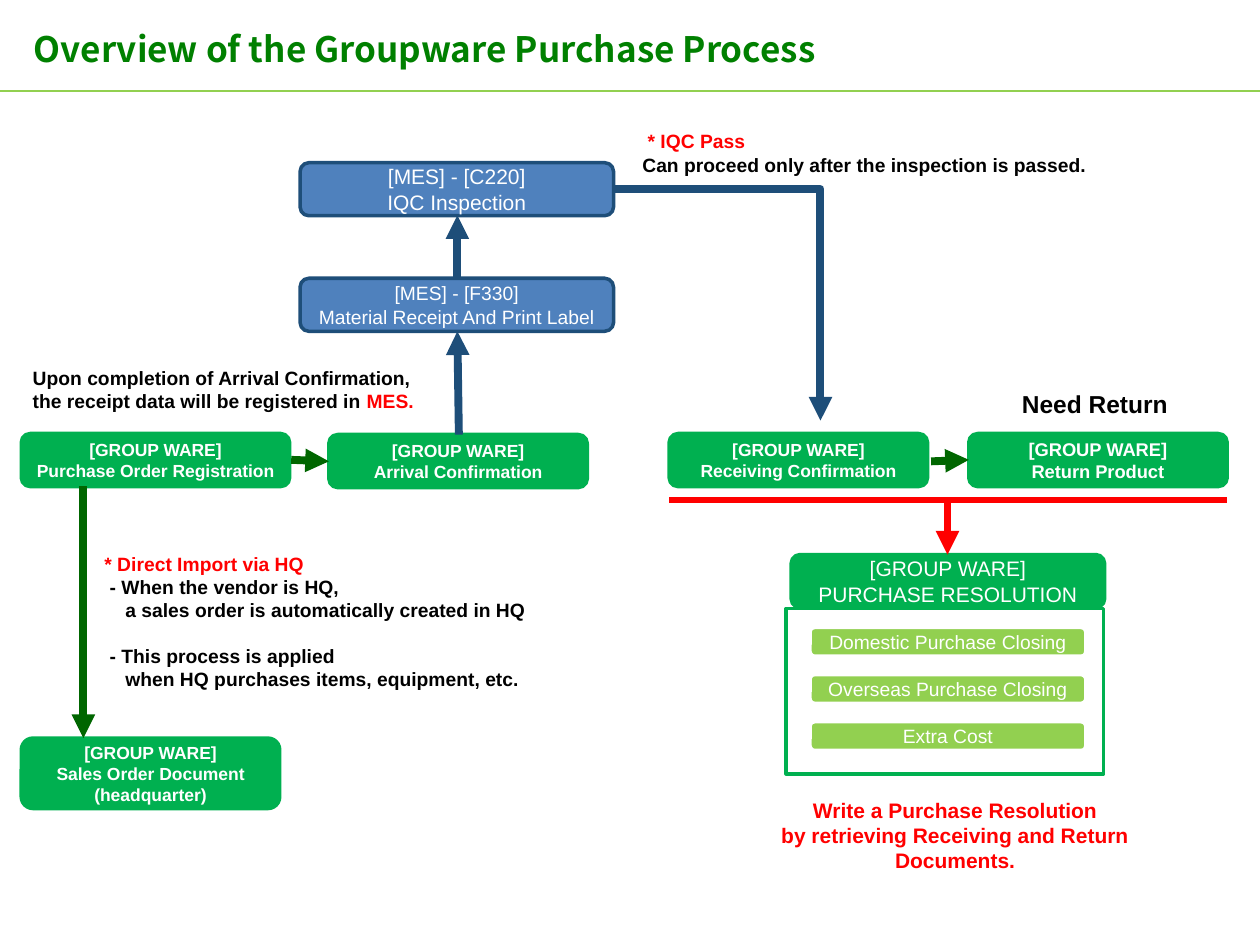
from dataclasses import dataclass

from lxml import etree
from pptx import Presentation
from pptx import util as u
from pptx.dml.color import RGBColor
from pptx.enum import shapes, text
from pptx.oxml.ns import qn

WHITE, BLACK, RED = "FFFFFF", "000000", "FF0000"
GREEN, DARK_GREEN, LIME = "00B050", "006600", "92D050"
BLUE, NAVY = "4F81BD", "1E4E79"


@dataclass
class Box:
    left: float
    top: float
    width: float
    height: float
    lines: tuple = ()
    size: float = 10
    bold: bool = True
    fill: str = GREEN
    outline: str = GREEN
    kind: int = shapes.MSO_SHAPE.ROUNDED_RECTANGLE


@dataclass
class Line:
    """One paragraph: (words, colour) spans, with indent and space before in points."""
    spans: tuple
    indent: float = 0
    before: float = 0


@dataclass
class Note:
    left: float
    top: float
    width: float
    height: float
    lines: tuple
    size: float = 11
    centred: bool = False
    wrap: bool = True


@dataclass
class Link:
    start: tuple
    end: tuple
    colour: str
    weight: float = 4.5
    arrow: bool = True
    bent: bool = False


def rgb(value: str) -> RGBColor:
    return RGBColor.from_string(value)


def set_values(target, values: dict) -> None:
    for name, value in values.items():
        setattr(target, name, value)


def add_span(para, words: str, colour: str, size: float, bold: bool, name="Arial") -> None:
    span = para.add_run()
    span.text = words
    set_values(span.font, {"name": name, "size": u.Pt(size), "bold": bold})
    span.font.color.rgb = rgb(colour)


def next_para(frame, index: int):
    return frame.add_paragraph() if index else frame.paragraphs[0]


def draw_box(page, box: Box) -> None:
    place = [u.Cm(v) for v in (box.left, box.top, box.width, box.height)]
    shape = page.shapes.add_shape(box.kind, *place)
    shape.shadow.inherit = False
    shape.fill.solid()
    shape.fill.fore_color.rgb = rgb(box.fill)
    shape.line.color.rgb = rgb(box.outline)
    shape.line.width = u.Pt(2)
    set_values(shape.text_frame, {
        "word_wrap": True, "vertical_anchor": text.MSO_ANCHOR.MIDDLE,
        "margin_left": u.Cm(0.15), "margin_right": u.Cm(0.15),
        "margin_top": 0, "margin_bottom": 0})
    for index, words in enumerate(box.lines):
        para = next_para(shape.text_frame, index)
        para.alignment = text.PP_ALIGN.CENTER
        add_span(para, words, WHITE, box.size, box.bold)


def draw_note(page, note: Note) -> None:
    place = [u.Cm(v) for v in (note.left, note.top, note.width, note.height)]
    frame = page.shapes.add_textbox(*place).text_frame
    frame.word_wrap = note.wrap
    for index, line in enumerate(note.lines):
        para = next_para(frame, index)
        para.alignment = text.PP_ALIGN.CENTER if note.centred else text.PP_ALIGN.LEFT
        if line.indent:
            properties = para._p.get_or_add_pPr()
            properties.set("marL", str(u.Pt(line.indent)))
            properties.set("indent", "0")
        if line.before:
            para.space_before = u.Pt(line.before)
        for words, colour in line.spans:
            add_span(para, words, colour, note.size, True)


def draw_link(page, link: Link) -> None:
    kind = shapes.MSO_CONNECTOR.ELBOW if link.bent else shapes.MSO_CONNECTOR.STRAIGHT
    connector = page.shapes.add_connector(kind, *[u.Cm(v) for v in link.start + link.end])
    connector.line.color.rgb = rgb(link.colour)
    connector.line.width = u.Pt(link.weight)
    properties = connector._element.spPr
    if link.bent:  # a single corner
        properties.find(qn("a:prstGeom")).set("prst", "bentConnector2")
    if link.arrow:
        etree.SubElement(properties.find(qn("a:ln")), qn("a:tailEnd"), type="triangle")
    etree.SubElement(properties, qn("a:effectLst"))


def draw_title(page, words: str) -> None:
    title = page.shapes.title
    set_values(title, {"left": u.Cm(0.43), "top": u.Cm(0.33),
                       "width": u.Cm(21.7), "height": u.Cm(1.4)})
    title.text_frame.vertical_anchor = text.MSO_ANCHOR.MIDDLE
    para = title.text_frame.paragraphs[0]
    set_values(para, {"alignment": text.PP_ALIGN.LEFT, "line_spacing": 0.9})
    add_span(para, words, "008000", 20, True, "Noto Sans CJK KR")


GROUP = "[GROUP WARE]"
ROW_TOP, STEP_HEIGHT, STEP_WIDTH = 8.74, 1.07, 5.21
MES_LEFT, MES_WIDTH = 6.05, 6.32

STEPS = [
    # MES steps
    Box(MES_LEFT, 3.28, MES_WIDTH, STEP_HEIGHT, ("[MES] - [C220]", "IQC Inspection"),
        12, False, BLUE, NAVY),
    Box(MES_LEFT, 5.61, MES_WIDTH, STEP_HEIGHT,
        ("[MES] - [F330]", "Material Receipt And Print Label"), 11, False, BLUE, NAVY),
    # Groupware steps
    Box(0.43, ROW_TOP, 5.41, STEP_HEIGHT, (GROUP, "Purchase Order Registration")),
    Box(6.63, ROW_TOP + 0.02, STEP_WIDTH, STEP_HEIGHT, (GROUP, "Arrival Confirmation")),
    Box(13.49, ROW_TOP, STEP_WIDTH, STEP_HEIGHT, (GROUP, "Receiving Confirmation")),
    Box(19.53, ROW_TOP, STEP_WIDTH, STEP_HEIGHT, (GROUP, "Return Product"), 10.5),
    Box(0.43, 14.88, STEP_WIDTH, 1.42, (GROUP, "Sales Order Document (headquarter)")),
    # Purchase resolution panel
    Box(15.95, 11.18, MES_WIDTH, STEP_HEIGHT, (GROUP, "PURCHASE RESOLUTION"), 12, False),
    Box(15.85, 12.27, 6.4, 3.33, fill=WHITE, kind=shapes.MSO_SHAPE.RECTANGLE),
]
CLOSINGS = ("Domestic Purchase Closing", "Overseas Purchase Closing", "Extra Cost")
STEPS += [Box(16.33, 12.65 + 0.95 * row, 5.56, 0.58, (name,), 11, False, LIME, WHITE)
          for row, name in enumerate(CLOSINGS)]

NOTES = [
    Note(12.7, 2.49, 9.78, 1.19, (
        Line((("* IQC Pass", RED),), 3),
        Line((("Can proceed only after the inspection is passed.", BLACK),)))),
    Note(20.35, 7.72, 3.58, 0.86, (Line((("Need Return", BLACK),)),), 14),
    Note(0.41, 7.26, 8.2, 1.19, (
        Line((("Upon completion of Arrival Confirmation,", BLACK),)),
        Line((("the receipt data will be registered in ", BLACK), ("MES.", RED)))),
        wrap=False),
    Note(14.25, 15.95, 10.01, 1.27, (
        Line((("Write a Purchase Resolution", RED),)),
        Line((("by retrieving Receiving and Return Documents.", RED),))), 12, True),
    Note(1.75, 11, 9.78, 3.07, (
        Line((("* Direct Import via HQ", RED),), 3),
        Line((("- When the vendor is HQ,", BLACK),), 6),
        Line((("a sales order is automatically created in HQ", BLACK),), 15),
        Line((("- This process is applied", BLACK),), 6, 13),
        Line((("when HQ purchases items, equipment, etc.", BLACK),), 15))),
]

LINKS = [
    Link((0, 1.83), (25.4, 1.83), LIME, 1, False),  # rule under the title
    Link((9.22, 5.61), (9.22, 4.34), NAVY),
    Link((9.25, 8.76), (9.22, 6.68), NAVY),
    Link((12.37, 3.81), (16.54, 8.48), NAVY, bent=True),
    Link((5.87, 9.27), (6.63, 9.3), DARK_GREEN),
    Link((18.77, 9.3), (19.53, 9.27), DARK_GREEN),
    Link((1.68, 9.8), (1.68, 14.88), DARK_GREEN),
    Link((19.1, 10.08), (19.1, 11.18), RED),
    Link((13.49, 10.08), (24.74, 10.08), RED, 3, False),
]


def main() -> None:
    deck = Presentation()
    deck.slide_width, deck.slide_height = u.Cm(25.4), u.Cm(19.05)
    page = deck.slides.add_slide(deck.slide_layouts[5])
    draw_title(page, "Overview of the Groupware Purchase Process")
    for box in STEPS:
        draw_box(page, box)
    for note in NOTES:
        draw_note(page, note)
    for link in LINKS:
        draw_link(page, link)
    deck.save("out.pptx")


if __name__ == "__main__":
    main()
